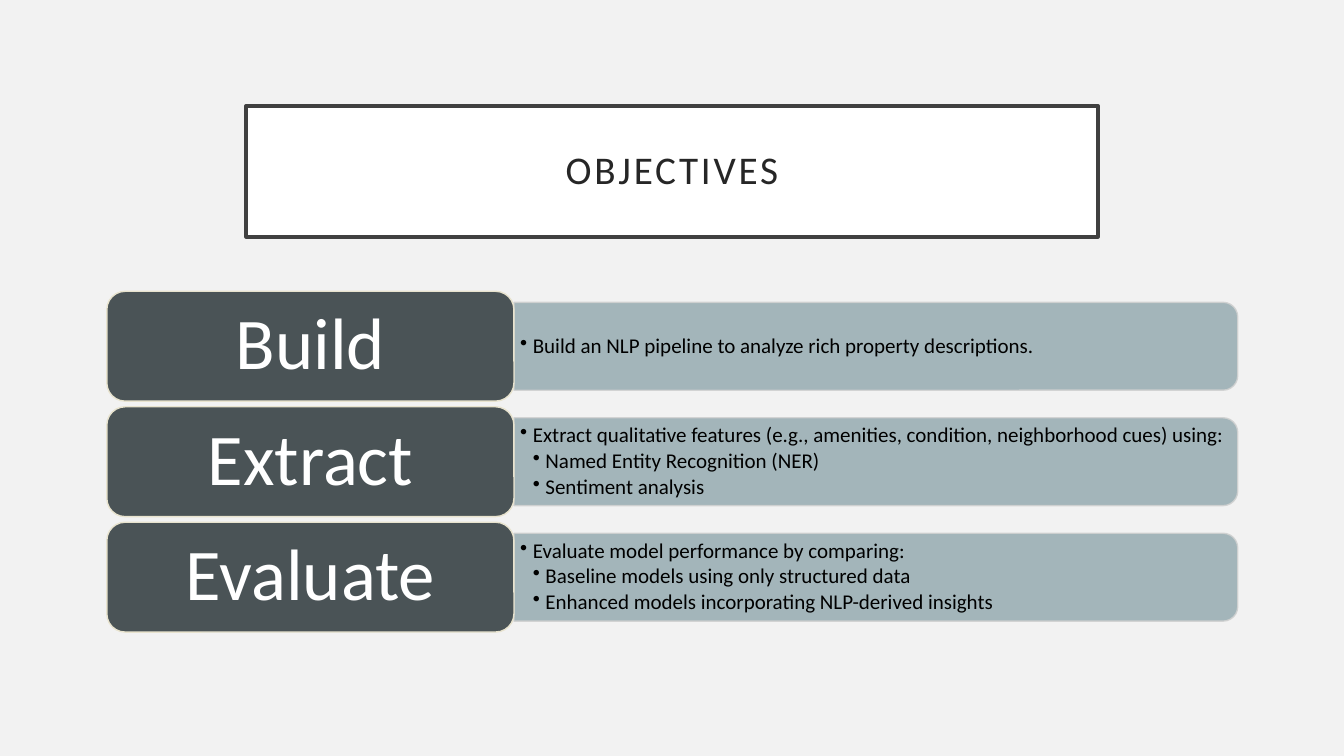
import pptx
import pptx.dml.color
import pptx.enum.shapes
import pptx.enum.text
import pptx.oxml
import pptx.oxml.ns
import pptx.util

Pt = pptx.util.Pt
SHAPE = pptx.enum.shapes.MSO_SHAPE
ALIGN = pptx.enum.text.PP_ALIGN
qn = pptx.oxml.ns.qn

ROWS = [
    ("Build", [(0, "Build an NLP pipeline to analyze rich property descriptions.")]),
    ("Extract", [
        (0, "Extract qualitative features (e.g., amenities, condition, neighborhood cues) using:"),
        (1, "Named Entity Recognition (NER)"),
        (1, "Sentiment analysis"),
    ]),
    ("Evaluate", [
        (0, "Evaluate model performance by comparing:"),
        (1, "Baseline models using only structured data"),
        (1, "Enhanced models incorporating NLP-derived insights"),
    ]),
]


def rgb(value):
    return pptx.dml.color.RGBColor.from_string(value)


def add_xml(parent, tag, **attrs):
    el = parent.makeelement(qn(tag), attrs)
    parent.append(el)
    return el


def add_box(s, kind, x, y, w, h, fill, line, width, alpha=None):
    sp = s.shapes.add_shape(kind, Pt(x), Pt(y), Pt(w), Pt(h))
    sp.shadow.inherit = False
    sp.fill.solid()
    sp.fill.fore_color.rgb = rgb(fill)
    sp.line.color.rgb = rgb(line)
    sp.line.width = Pt(width)
    if alpha:
        for color in sp.element.spPr.iter(qn("a:srgbClr")):
            add_xml(color, "a:alpha", val=str(alpha * 1000))
    return sp


def set_text(sp, items, size, color, align=ALIGN.LEFT, inset=(0, 0),
             spacing=0, bullets=False, after=0):
    tf = sp.text_frame
    tf.word_wrap = True
    tf.vertical_anchor = pptx.enum.text.MSO_ANCHOR.MIDDLE
    tf.margin_left = tf.margin_right = Pt(inset[0])
    tf.margin_top = tf.margin_bottom = Pt(inset[1])
    for i, (level, text) in enumerate(items):
        p = tf.paragraphs[0] if i == 0 else tf.add_paragraph()
        p.alignment = align
        p.line_spacing = 0.9
        p.space_after = Pt(after)
        if bullets:
            p.level = level + 1
            pPr = p._p.get_or_add_pPr()
            pPr.set("marL", str(Pt(9 * (level + 1))))
            pPr.set("indent", str(Pt(-9)))
            add_xml(pPr, "a:buChar", char="•")
        r = p.add_run()
        r.text = text
        r.font.name = "Calibri"
        r.font.size = Pt(size)
        r.font.color.rgb = rgb(color)
        if spacing:
            r._r.get_or_add_rPr().set("spc", str(spacing * 100))


def add_title(s, text, x, y, w, h):
    sp = add_box(s, SHAPE.RECTANGLE, x, y, w, h, "FFFFFF", "404040", 2.5)
    set_text(sp, [(0, text)], 28, "262626", ALIGN.CENTER, (14.4, 14.4), spacing=2)


def add_row(s, label, items, x, y, w, h):
    label_w = 0.36 * w
    bar_x, bar_w, bar_h = x + label_w, w - label_w, 0.8 * h
    mid_x, mid_y = bar_x + bar_w / 2, y + h / 2
    bar = add_box(s, SHAPE.ROUND_2_SAME_RECTANGLE, mid_x - bar_h / 2, mid_y - bar_w / 2,
                  bar_h, bar_w, "9BAFB5", "D0D1D1", 1, alpha=90)
    bar.rotation = 90
    text_h = bar_h - 6
    tb = s.shapes.add_textbox(Pt(bar_x), Pt(mid_y - text_h / 2), Pt(bar_w - 3), Pt(text_h))
    set_text(tb, items, 15, "000000", inset=(4.5, 2.25), bullets=True, after=2.25)
    sp = add_box(s, SHAPE.ROUNDED_RECTANGLE, x, y, label_w, h, "4A5356", "E8E3CE", 1)
    set_text(sp, [(0, label)], 52, "FFFFFF", ALIGN.CENTER)


def add_rows(s, rows, x, y, w, h, gap):
    row_h = (h - gap * (len(rows) - 1)) / len(rows)
    for i, (label, items) in enumerate(rows):
        add_row(s, label, items, x, y + i * (row_h + gap), w, row_h)


def main():
    prs = pptx.Presentation()
    prs.slide_width, prs.slide_height = Pt(960), Pt(540)
    s = prs.slides.add_slide(prs.slide_layouts[6])
    s.background.fill.solid()
    s.background.fill.fore_color.rgb = rgb("F2F2F2")
    add_title(s, "OBJECTIVES", 175.75, 75.6, 608.5, 93.6)
    add_rows(s, ROWS, 76.3, 208.1, 807.8, 243.4, 4)
    prs.save("out.pptx")


if __name__ == "__main__":
    main()
